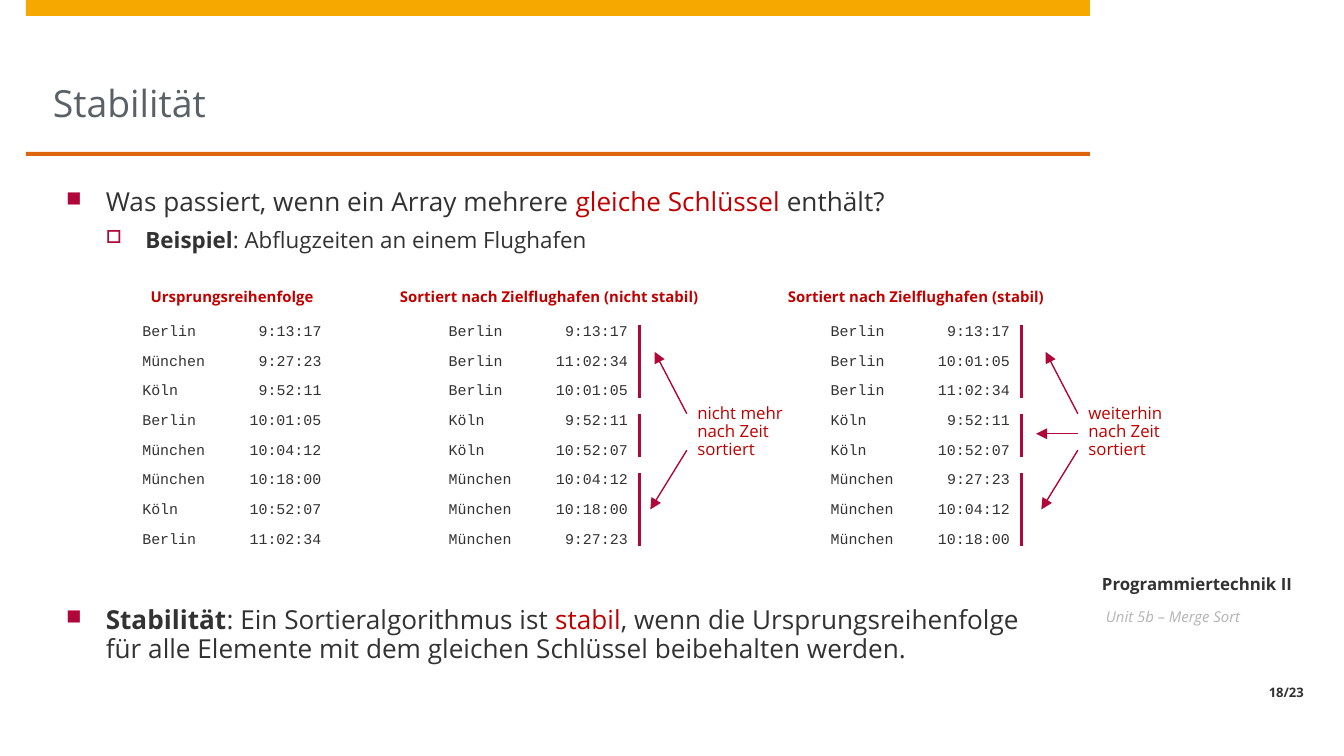
"""Build a slide on the stability of sorting algorithms."""
from dataclasses import dataclass

from lxml import etree
from pptx import Presentation
from pptx.dml.color import RGBColor
from pptx.enum.shapes import MSO_CONNECTOR, MSO_SHAPE
from pptx.enum.text import MSO_ANCHOR, PP_ALIGN
from pptx.oxml.ns import qn
from pptx.util import Cm, Pt

TOP, MID, LOW = MSO_ANCHOR.TOP, MSO_ANCHOR.MIDDLE, MSO_ANCHOR.BOTTOM
LEFT, CENTER, RIGHT = PP_ALIGN.LEFT, PP_ALIGN.CENTER, PP_ALIGN.RIGHT
RECT, LINE = MSO_SHAPE.RECTANGLE, MSO_CONNECTOR.STRAIGHT


@dataclass(frozen=True)
class Theme:
    """Fonts, colours and type sizes."""
    sans: str = "Open Sans"
    mono: str = "Courier New"
    ink: str = "323232"
    red: str = "C00000"
    wine: str = "B1063A"
    gray: str = "5A6166"
    pale: str = "B4B4B4"
    gold: str = "F6A800"
    rust: str = "DD640C"
    title: int = 20
    body: int = 14
    sub: int = 12
    note: int = 9
    small: int = 8
    page: int = 7


T = Theme()
PLAIN, BOLD, RED = (T.ink, False), (T.ink, True), (T.red, False)

STRIPES = [(0, 0.3, T.gold), (2.87, 0.08, T.rust)]
POINTS = [
    (3.45, 2.4, [
        ("■", 0, T.body, [("Was passiert, wenn ein Array mehrere ", PLAIN),
                          ("gleiche Schlüssel ", RED), ("enthält?", PLAIN)]),
        ("□", 1, T.sub, [("Beispiel", BOLD),
                         (": Abflugzeiten an einem Flughafen", PLAIN)]),
    ]),
    (11.35, 2.0, [
        ("■", 0, T.body, [("Stabilität", BOLD),
                          (": Ein Sortieralgorithmus ist ", PLAIN),
                          ("stabil", RED),
                          (", wenn die Ursprungsreihenfolge für alle Elemente "
                           "mit dem gleichen Schlüssel beibehalten werden.", PLAIN)]),
    ]),
]
FLIGHTS = [("Berlin", "9:13:17"), ("München", "9:27:23"), ("Köln", "9:52:11"),
           ("Berlin", "10:01:05"), ("München", "10:04:12"),
           ("München", "10:18:00"), ("Köln", "10:52:07"), ("Berlin", "11:02:34")]
MIXED = [FLIGHTS[i] for i in (0, 7, 3, 2, 6, 4, 5, 1)]
STABLE = sorted(FLIGHTS, key=lambda flight: flight[0])
GROUPS = [(0, 2), (3, 4), (5, 7)]
LISTS = [
    ("Ursprungsreihenfolge", 2.69, 3.4, 2.69, FLIGHTS, []),
    ("Sortiert nach Zielflughafen (nicht stabil)", 7.39, 5.99, 8.48, MIXED, GROUPS),
    ("Sortiert nach Zielflughafen (stabil)", 14.71, 5.21, 15.7, STABLE, GROUPS),
]
UP, DOWN, FLAT = (7.82, -0.61, 6.65), (8.51, -0.69, 9.63), (8.2, -0.79, 8.2)
NOTES = [
    (12.98, ["nicht mehr", "nach Zeit", "sortiert"], [UP, DOWN]),
    (20.37, ["weiterhin", "nach Zeit", "sortiert"], [UP, DOWN, FLAT]),
]
ROW_TOP, ROW_STEP, ROW_H, COL_W = 5.97, 0.56, 0.61, 3.4


def add_box(slide, x, y, w, h, anchor=MID, pads=(0, 0, 0, 0), wrap=True):
    """Add an empty text box and return its frame."""
    frame = slide.shapes.add_textbox(Cm(x), Cm(y), Cm(w), Cm(h)).text_frame
    frame.word_wrap, frame.vertical_anchor = wrap, anchor
    (frame.margin_left, frame.margin_top,
     frame.margin_right, frame.margin_bottom) = map(Cm, pads)
    return frame


def style_par(par, align=LEFT, before=0):
    """Set alignment and spacing of a paragraph."""
    par.alignment, par.line_spacing = align, 0.9
    par.space_before, par.space_after = Pt(before), Pt(3)


def add_run(par, text, size, color=T.ink, bold=False, italic=False, face=T.sans):
    """Add one styled run."""
    run = par.add_run()
    run.text = text
    font = run.font
    font.name, font.size, font.bold, font.italic = face, Pt(size), bold, italic
    font.color.rgb = RGBColor.from_string(color)


def add_child(node, tag, **attrs):
    """Add an XML child with attributes."""
    child = etree.SubElement(node, qn(tag))
    for key, value in attrs.items():
        child.set(key, str(value))
    return child


def set_bullet(par, mark, level):
    """Give a paragraph its indent and bullet."""
    props = par._p.get_or_add_pPr()
    props.set("marL", str(Cm(0.75 * (level + 1))))
    props.set("indent", str(-Cm(0.75)))
    add_child(add_child(props, "a:buClr"), "a:srgbClr", val=T.wine)
    add_child(props, "a:buSzPct", val=80000)
    add_child(props, "a:buChar", char=mark)


def add_line(slide, x1, y1, x2, y2, width, arrow=False):
    """Draw a straight line, with an arrowhead if wanted."""
    line = slide.shapes.add_connector(LINE, Cm(x1), Cm(y1), Cm(x2), Cm(y2))
    line.line.color.rgb = RGBColor.from_string(T.wine)
    line.line.width = Pt(width)
    if arrow:
        add_child(line.line._get_or_add_ln(), "a:tailEnd", type="triangle")
    add_child(line._element.spPr, "a:effectLst")


def add_frame(slide):
    """Draw stripes, title and footer."""
    for y, h, color in STRIPES:
        bar = slide.shapes.add_shape(RECT, Cm(0.49), Cm(y), Cm(20.11), Cm(h))
        bar.shadow.inherit = False
        bar.fill.solid()
        bar.fill.fore_color.rgb = RGBColor.from_string(color)
        bar.line.fill.background()
    par = add_box(slide, 1, 0.3, 19.1, 2.57, LOW, (0, 0, 0, 0.51)).paragraphs[0]
    add_run(par, "Stabilität", T.title, T.gray)
    foot = [
        (9.91, 1.45, LOW, 0, CENTER, "Programmiertechnik II", T.note, BOLD),
        (11.53, 1.32, TOP, 0.3, LEFT, "Unit 5b – Merge Sort", T.small,
         (T.pale, False, True)),
        (12.85, 0.51, LOW, 0.3, RIGHT, "18/23", T.page, BOLD),
    ]
    for y, h, anchor, pad, align, text, size, look in foot:
        box = add_box(slide, 20.6, y, 4.29, h, anchor, (pad, 0, 0.25, 0.13))
        style_par(box.paragraphs[0], align)
        add_run(box.paragraphs[0], text, size, *look)


def add_points(slide):
    """Write the bullet points."""
    for y, h, items in POINTS:
        box = add_box(slide, 1, y, 19.1, h, TOP, (0.25, 0.13, 0.25, 0.13))
        for i, (mark, level, size, runs) in enumerate(items):
            par = box.add_paragraph() if i else box.paragraphs[0]
            style_par(par, before=3 if i else 0)
            set_bullet(par, mark, level)
            for text, look in runs:
                add_run(par, text, size, *look)


def add_list(slide, head, head_x, head_w, x, rows, groups):
    """Write one list of flights with its group bars."""
    par = add_box(slide, head_x, 5.33, head_w, ROW_H, wrap=False).paragraphs[0]
    style_par(par, CENTER)
    add_run(par, head, T.small, T.red, True)
    for i, (city, time) in enumerate(rows):
        par = add_box(slide, x, ROW_TOP + i * ROW_STEP, COL_W, ROW_H).paragraphs[0]
        style_par(par)
        tabs = add_child(par._p.get_or_add_pPr(), "a:tabLst")
        add_child(tabs, "a:tab", pos=Cm(COL_W - 0.01), algn="r")
        add_run(par, f"{city}\t{time}", T.small, face=T.mono)
    for first, last in groups:
        start, end = (ROW_TOP + ROW_H / 2 + i * ROW_STEP for i in (first, last))
        add_line(slide, x + 3.61, end + 0.13, x + 3.61, start - 0.13, 1.75)


def add_note(slide, x, words, arrows):
    """Write a side note and draw its arrows."""
    par = add_box(slide, x + 0.2, 7.3, 1.9, 1.73, wrap=False).paragraphs[0]
    style_par(par)
    for i, text in enumerate(words):
        if i:
            par.add_line_break()
        add_run(par, text, T.note, T.red)
    for y1, shift, y2 in arrows:
        add_line(slide, x, y1, x + shift, y2, 0.75, True)


def main():
    """Build and save the deck."""
    deck = Presentation()
    deck.slide_width, deck.slide_height = Cm(25.4), Cm(14.29)
    slide = deck.slides.add_slide(deck.slide_layouts[6])
    add_frame(slide)
    add_points(slide)
    for item in LISTS:
        add_list(slide, *item)
    for note in NOTES:
        add_note(slide, *note)
    deck.save("out.pptx")


if __name__ == "__main__":
    main()
